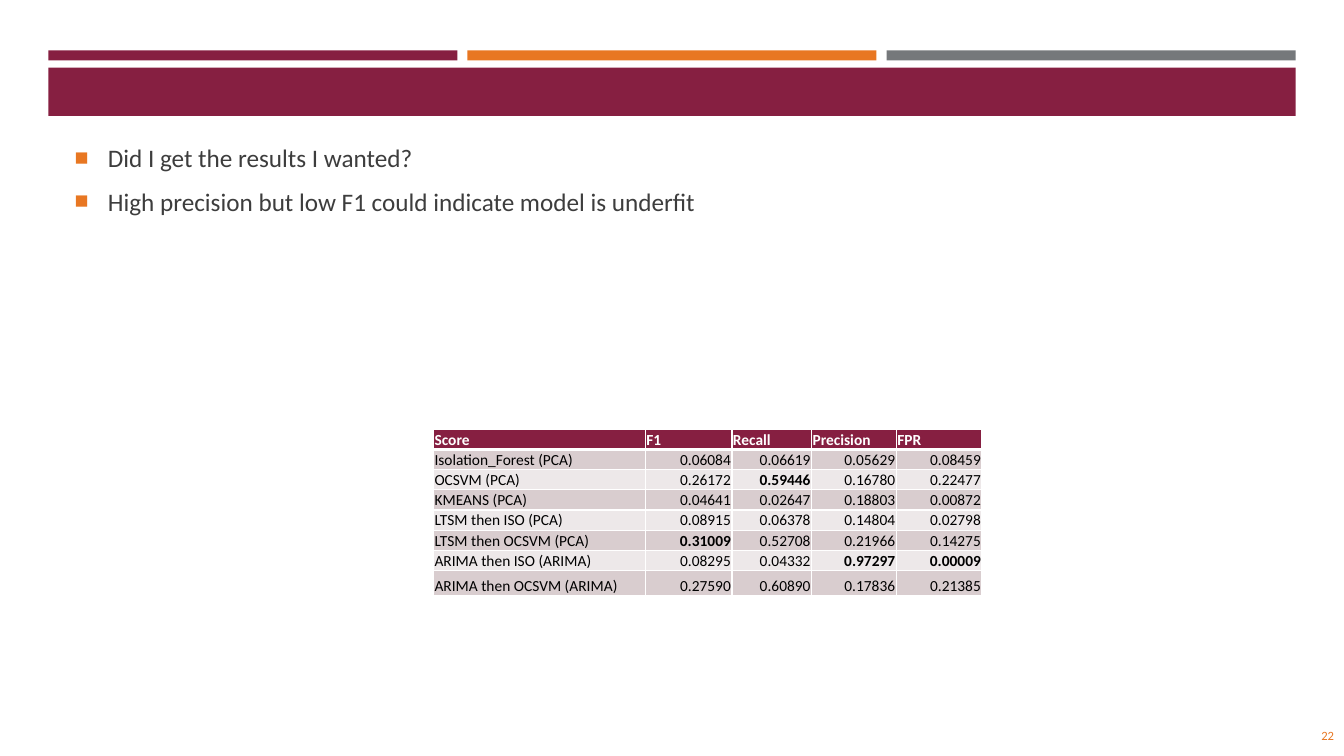
from lxml.etree import SubElement as Sub
from pptx import Presentation
from pptx.dml.color import RGBColor as RGB
from pptx.enum.shapes import MSO_SHAPE as Shape
from pptx.enum.text import MSO_ANCHOR as Anchor, PP_ALIGN as Align
from pptx.oxml.ns import qn
from pptx.util import Inches, Pt

MAROON, ORANGE, GRAY, WHITE = "861F41", "E87722", "75787B", "FFFFFF"
POINTS = ["Did I get the results I wanted?",
          "High precision but low F1 could indicate model is underfit"]
HEAD = ["Score", "F1", "Recall", "Precision", "FPR"]
SCORES = [
    ["Isolation_Forest (PCA)", "0.06084", "0.06619", "0.05629", "0.08459"],
    ["OCSVM (PCA)", "0.26172", "0.59446", "0.16780", "0.22477"],
    ["KMEANS (PCA)", "0.04641", "0.02647", "0.18803", "0.00872"],
    ["LTSM then ISO (PCA)", "0.08915", "0.06378", "0.14804", "0.02798"],
    ["LTSM then OCSVM (PCA)", "0.31009", "0.52708", "0.21966", "0.14275"],
    ["ARIMA then ISO (ARIMA)", "0.08295", "0.04332", "0.97297", "0.00009"],
    ["ARIMA then OCSVM (ARIMA)", "0.27590", "0.60890", "0.17836", "0.21385"],
]
BEST = {"0.59446", "0.31009", "0.97297", "0.00009"}
WIDTHS = [2.1, 0.86, 0.79, 0.84, 0.85]


def paint(fill, color):
    fill.solid()
    fill.fore_color.rgb = RGB.from_string(color)


def write(para, text, size=11, color="000000", bold=False, align=Align.LEFT):
    para.text = text
    para.alignment = align
    font = para.font
    font.name, font.size, font.bold = "Calibri", Pt(size), bold
    font.color.rgb = RGB.from_string(color)


def bar(slide, left, top, width, height, color):
    box = slide.shapes.add_shape(Shape.RECTANGLE, *map(Inches, (left, top, width, height)))
    box.shadow.inherit = False
    paint(box.fill, color)
    box.line.fill.background()


def banner(slide, left, top, width):
    gap = 0.1
    part = (width - 2 * gap) / 3
    for i, color in enumerate([MAROON, ORANGE, GRAY]):
        bar(slide, left + i * (part + gap), top, part, 0.1, color)
    bar(slide, left, top + 0.17, width, 0.48, MAROON)


def bullet(para):
    props = para._p.get_or_add_pPr()
    props.set("marL", str(Inches(0.33)))
    props.set("indent", str(-Inches(0.33)))
    Sub(Sub(props, qn("a:buClr")), qn("a:srgbClr"), val=ORANGE)
    Sub(props, qn("a:buSzPct"), val="92000")
    Sub(props, qn("a:buFont"), typeface="Arial")
    Sub(props, qn("a:buChar"), char="■")


def body(slide, left, top, width, height):
    box = slide.placeholders[1]
    box.left, box.top, box.width, box.height = map(Inches, (left, top, width, height))
    frame = box.text_frame
    for i, text in enumerate(POINTS):
        para = frame.add_paragraph() if i else frame.paragraphs[0]
        para.space_before, para.space_after = Pt(3.6 if i else 0), Pt(6)
        bullet(para)
        write(para, text, size=18, color="3D3D3D")


def border(cell, row):
    props = cell._tc.get_or_add_tcPr()
    thick = {0: "lnB", 1: "lnT"}.get(row)
    for side in ("lnL", "lnR", "lnT", "lnB"):
        line = Sub(props, qn("a:" + side), w=str(Pt(3 if side == thick else 1)))
        Sub(Sub(line, qn("a:solidFill")), qn("a:srgbClr"), val=WHITE)


def scores(slide, left, top):
    rows = [HEAD] + SCORES
    heights = [0.2] * len(SCORES) + [0.25]
    size = map(Inches, (left, top, sum(WIDTHS), sum(heights)))
    grid = slide.shapes.add_table(len(rows), len(HEAD), *size).table
    for col, width in zip(grid.columns, WIDTHS):
        col.width = Inches(width)
    for r, (row, height) in enumerate(zip(rows, heights)):
        grid.rows[r].height = Inches(height)
        for c, text in enumerate(row):
            cell = grid.cell(r, c)
            cell.margin_left = cell.margin_right = cell.margin_top = Inches(0.01)
            cell.margin_bottom = 0
            cell.vertical_anchor = Anchor.BOTTOM
            border(cell, r)
            paint(cell.fill, ("D9CDCF" if r % 2 else "EDE8E9") if r else MAROON)
            write(cell.text_frame.paragraphs[0], text,
                  color="000000" if r else WHITE,
                  bold=r == 0 or text in BEST,
                  align=Align.RIGHT if r and c else Align.LEFT)


def number(slide, left, top, width, height):
    frame = slide.shapes.add_textbox(*map(Inches, (left, top, width, height))).text_frame
    frame.word_wrap = True
    frame.vertical_anchor = Anchor.MIDDLE
    write(frame.paragraphs[0], "22", size=9, color=ORANGE, align=Align.RIGHT)


def main():
    deck = Presentation()
    deck.slide_width, deck.slide_height = Inches(13.33), Inches(7.5)
    slide = deck.slides.add_slide(deck.slide_layouts[1])
    title = slide.shapes.title.element
    title.getparent().remove(title)
    banner(slide, 0.48, 0.5, 12.37)
    body(slide, 0.64, 1.36, 12.06, 5.58)
    number(slide, 12.18, 7.1, 1.15, 0.4)
    scores(slide, 4.3, 4.26)
    deck.save("out.pptx")


if __name__ == "__main__":
    main()
